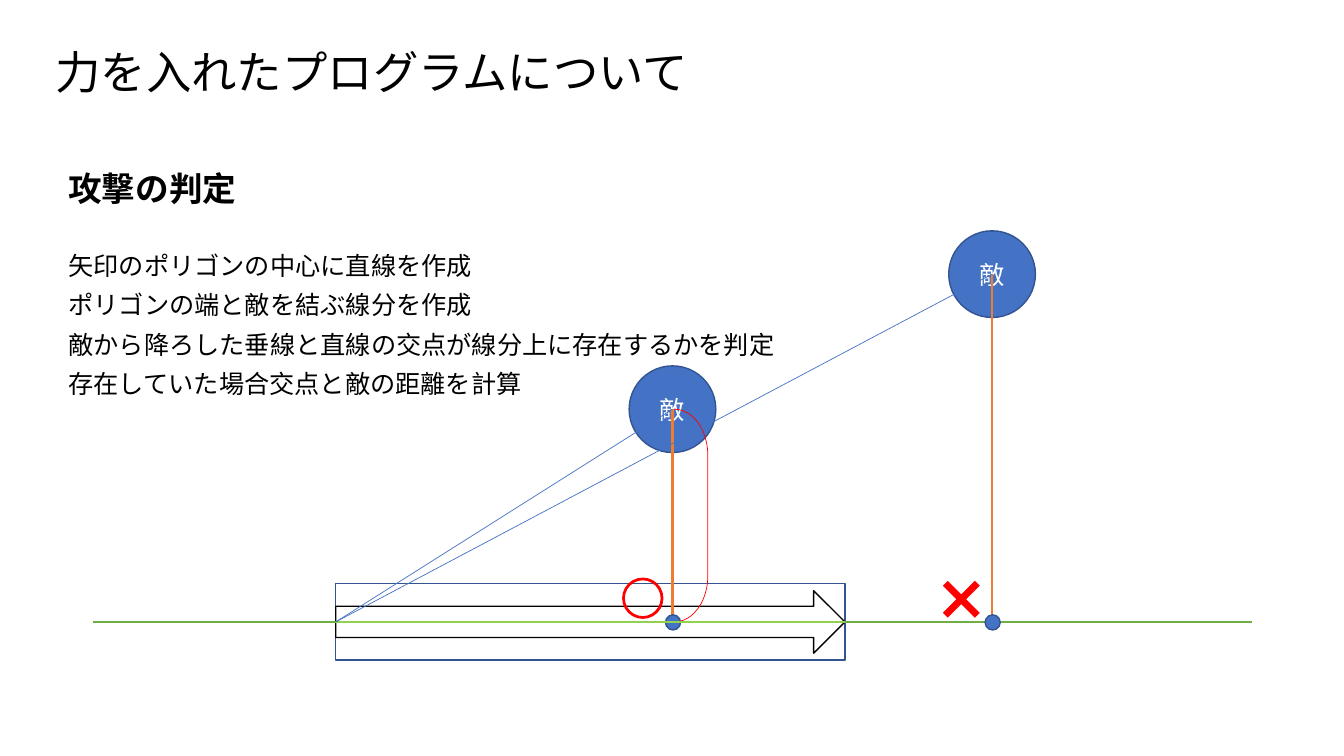
from lxml import etree
from pptx import Presentation
from pptx.dml.color import RGBColor
from pptx.enum.shapes import MSO_CONNECTOR, MSO_SHAPE
from pptx.enum.text import MSO_ANCHOR, MSO_AUTO_SIZE, PP_ALIGN
from pptx.oxml.ns import qn
from pptx.util import Pt

LINE = MSO_CONNECTOR.STRAIGHT
OVAL = MSO_SHAPE.OVAL
RECT = MSO_SHAPE.RECTANGLE
ARROW = MSO_SHAPE.RIGHT_ARROW
BRACKET = MSO_SHAPE.RIGHT_BRACKET
CROSS = MSO_SHAPE.MATH_MULTIPLY
RING = MSO_SHAPE.DONUT
MIDDLE = MSO_ANCHOR.MIDDLE
TOP = MSO_ANCHOR.TOP
FIXED = MSO_AUTO_SIZE.NONE
LEFT = PP_ALIGN.LEFT
CENTER = PP_ALIGN.CENTER

PX = 9144
FONT = "Noto Sans CJK JP"
COLORS = {
    "black": "000000", "white": "FFFFFF", "blue": "4472C4", "navy": "325491",
    "green": "70AD47", "lime": "92D050", "orange": "ED7D31", "red": "FF0000",
}


def color(name):
    return RGBColor.from_string(COLORS[name])


def apply(target, values):
    for key, value in values.items():
        setattr(target, key, value)


class Board:
    def __init__(self, slide):
        self.slide = slide
        self.shapes = slide.shapes

    def text(self, shape, lines, size, tone="black", bold=False,
             anchor=TOP, wrap=True, **para):
        frame = shape.text_frame
        apply(frame, {"text": "\n".join(lines), "word_wrap": wrap,
                      "auto_size": FIXED, "vertical_anchor": anchor})
        for item in frame.paragraphs:
            apply(item, {"alignment": LEFT, "space_before": Pt(0), **para})
            run = item.runs[0]
            apply(run.font, {"name": FONT, "size": Pt(size), "bold": bold})
            run.font.color.rgb = color(tone)
            east = etree.SubElement(run.font._element, qn("a:ea"))
            east.set("typeface", FONT)

    def place(self, shape, box):
        names = ("left", "top", "width", "height")
        apply(shape, dict(zip(names, (v * PX for v in box))))

    def title(self, box, text):
        shape = self.shapes.title
        self.place(shape, box)
        self.text(shape, [text], 32.4, anchor=MIDDLE, line_spacing=0.9)

    def items(self, box, lines):
        shape = self.slide.placeholders[1]
        self.place(shape, box)
        self.text(shape, lines, 18, space_after=Pt(6.7))
        for item in shape.text_frame.paragraphs:
            props = item._p.get_or_add_pPr()
            props.set("marL", "0")
            props.set("indent", "0")
            etree.SubElement(props, qn("a:buNone"))

    def label(self, box, text, size):
        shape = self.shapes.add_textbox(*(v * PX for v in box))
        self.text(shape, [text], size, bold=True, wrap=False)

    def shape(self, kind, box, fill=None, edge=None, width=1, adjust=None,
              group=None):
        shapes = group.shapes if group else self.shapes
        shape = shapes.add_shape(kind, *(v * PX for v in box))
        shape.shadow.inherit = False
        if fill:
            shape.fill.solid()
            shape.fill.fore_color.rgb = color(fill)
        else:
            shape.fill.background()
        if edge:
            shape.line.color.rgb = color(edge)
            shape.line.width = Pt(width)
        else:
            shape.line.fill.background()
        if adjust is not None:
            shape.adjustments[0] = adjust
        return shape

    def disc(self, x, y, size):
        box = (x - size // 2, y - size // 2, size, size)
        return self.shape(OVAL, box, "blue", "navy")

    def line(self, start, end, tone, width=1.5, first=None, last=None):
        line = self.shapes.add_connector(
            LINE, *(v * PX for v in (*start, *end)))
        line.line.color.rgb = color(tone)
        line.line.width = Pt(width)
        etree.SubElement(line._element.spPr, qn("a:effectLst"))
        if first:
            line.begin_connect(first, 1)
        if last:
            line.end_connect(last, 3)


def main():
    deck = Presentation()
    apply(deck, {"slide_width": 1333 * PX, "slide_height": 750 * PX})
    board = Board(deck.slides.add_slide(deck.slide_layouts[1]))

    board.title((45, 44, 730, 61), "力を入れたプログラムについて")
    board.label((58, 162, 188, 50), "攻撃の判定", 24)
    board.items((58, 243, 740, 176), [
        "矢印のポリゴンの中心に直線を作成",
        "ポリゴンの端と敵を結ぶ線分を作成",
        "敵から降ろした垂線と直線の交点が線分上に存在するかを判定",
        "存在していた場合交点と敵の距離を計算",
    ])

    axis, left, right = 617, 333, 838
    near, far = (667, 406), (984, 272)
    group = board.shapes.add_group_shape()
    frame = board.shape(RECT, (left, axis - 38, right - left, 76),
                        edge="navy", group=group)
    board.shape(ARROW, (left, axis - 31, right - left, 62),
                "white", "black", group=group)
    board.line((92, axis), (1242, axis), "green")

    for x, y in (far, near):
        enemy = board.disc(x, y, 86)
        board.text(enemy, ["敵"], 18, "white", anchor=MIDDLE,
                   alignment=CENTER)
        board.line((x, y), (x, axis), "orange")
        board.disc(x, axis, 15)

    board.shape(BRACKET, (669, near[1], 33, axis - near[1]),
                edge="red", width=0.5, adjust=1.375)
    board.shape(CROSS, (923, 564, 61, 61), "red", adjust=0.112)
    board.shape(RING, (617, 573, 41, 41), "red", adjust=0.067)
    board.line((left, axis), (right, axis), "lime", first=frame, last=frame)
    for enemy in (near, far):
        board.line((left, axis), enemy, "blue", 0.5, first=frame)

    deck.save("out.pptx")


if __name__ == "__main__":
    main()
